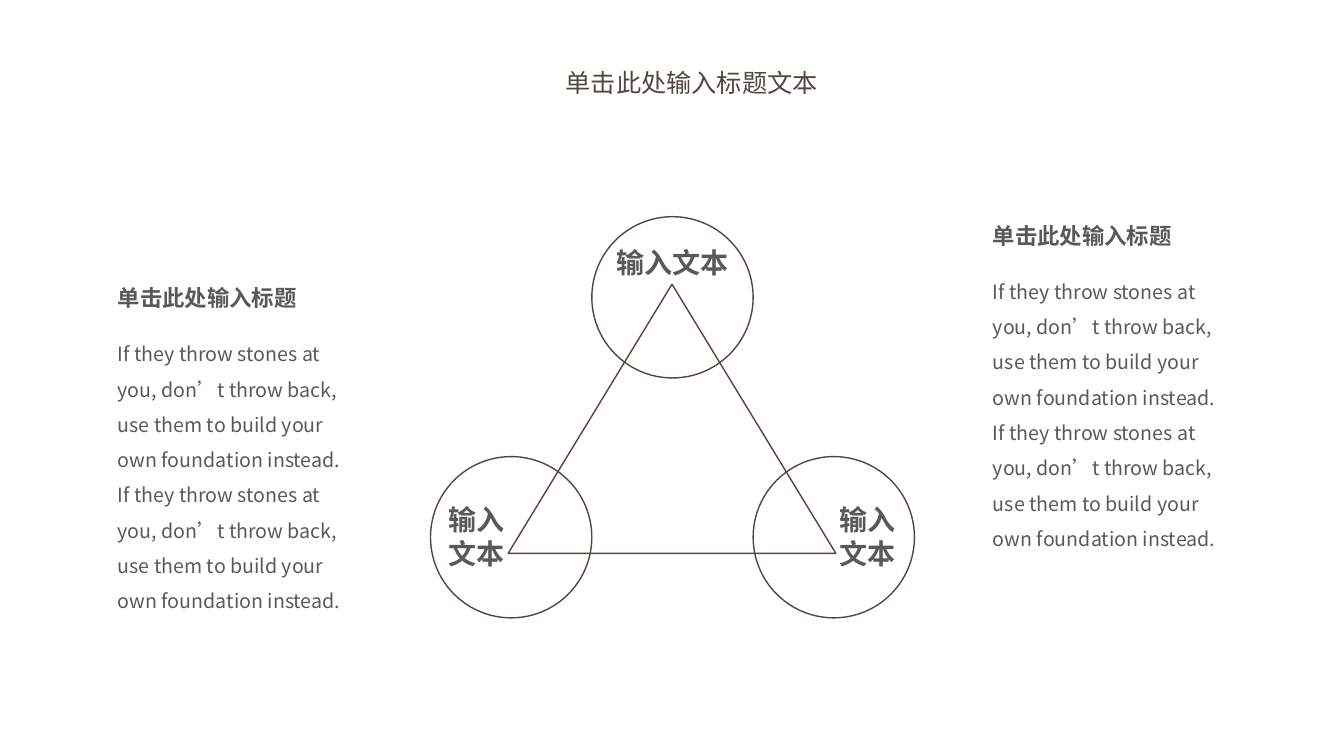
import pptx
import pptx.util
import pptx.dml.color
import pptx.enum.shapes
import pptx.enum.text
import pptx.oxml.ns
import lxml.etree

Inches = pptx.util.Inches
ALIGN = pptx.enum.text.PP_ALIGN
SHAPE = pptx.enum.shapes.MSO_SHAPE

# Content
FONT = "Noto Sans CJK SC"
COLORS = {"brown": "55463D", "gray": "595959"}
TITLE = "单击此处输入标题文本"
HEADING = "单击此处输入标题"
QUOTE = ("If they throw stones at you, don’t throw back, "
         "use them to build your own foundation instead.")
COLUMNS = [(1.07, 2.77), (9.75, 2.15)]  # left, top
LABEL = "输入文本"
LABEL_BOXES = [(5.98, 2.39, 1.38, 0.43), (4.27, 4.94, 0.91, 0.77),
               (8.15, 4.94, 0.91, 0.77)]
TRIANGLE = (5.04, 2.82, 3.25, 2.67)
DIAMETER = 1.6
CIRCLE_LEFT, TOP_ROW, BOTTOM_ROW = 4.27, 2.15, 4.53


def color(name):
    return pptx.dml.color.RGBColor.from_string(COLORS[name])


def write(box, lines, size, tint="gray", bold=False, align=ALIGN.LEFT, spacing=1.0):
    frame = box.text_frame
    frame.word_wrap = True
    frame.vertical_anchor = pptx.enum.text.MSO_ANCHOR.TOP
    frame.text = "\n".join(lines)
    for para in frame.paragraphs:
        para.alignment = align
        para.line_spacing = spacing
        para.space_before = pptx.util.Pt(0)
        font = para.font
        font.name = FONT
        font.size = pptx.util.Pt(size)
        font.bold = bold
        font.color.rgb = color(tint)
        # Chinese glyphs take the East Asian typeface
        latin = para._p.pPr.find(".//" + pptx.oxml.ns.qn("a:latin"))
        east = lxml.etree.Element(pptx.oxml.ns.qn("a:ea"), typeface=FONT)
        latin.addnext(east)


def add_text(page, area, lines, size, **style):
    box = page.shapes.add_textbox(*map(Inches, area))
    write(box, lines, size, **style)


def add_outline(page, kind, area):
    shape = page.shapes.add_shape(kind, *map(Inches, area))
    shape.shadow.inherit = False
    shape.fill.background()
    shape.line.color.rgb = color("brown")
    shape.line.width = pptx.util.Pt(1)


def main():
    deck = pptx.Presentation()
    deck.slide_width, deck.slide_height = Inches(13.33), Inches(7.5)
    page = deck.slides.add_slide(deck.slide_layouts[5])

    # Title
    title = page.shapes.title
    title.left, title.top = Inches(5.51), Inches(0.62)
    title.width, title.height = Inches(2.84), Inches(0.4)
    write(title, [TITLE], 18, tint="brown")

    # Triangle with a circle at each corner
    add_outline(page, SHAPE.ISOSCELES_TRIANGLE, TRIANGLE)
    for step, top in enumerate([BOTTOM_ROW, TOP_ROW, BOTTOM_ROW]):
        left = CIRCLE_LEFT + step * DIAMETER
        add_outline(page, SHAPE.OVAL, (left, top, DIAMETER, DIAMETER))
    for area in LABEL_BOXES:
        add_text(page, area, [LABEL], 20, bold=True, align=ALIGN.CENTER)

    # Text columns
    for left, top in COLUMNS:
        add_text(page, (left, top, 2.1, 0.37), [HEADING], 16, bold=True)
        add_text(page, (left, top + 0.46, 2.53, 2.9), [QUOTE] * 2, 14, spacing=1.5)

    deck.save("out.pptx")


if __name__ == "__main__":
    main()
